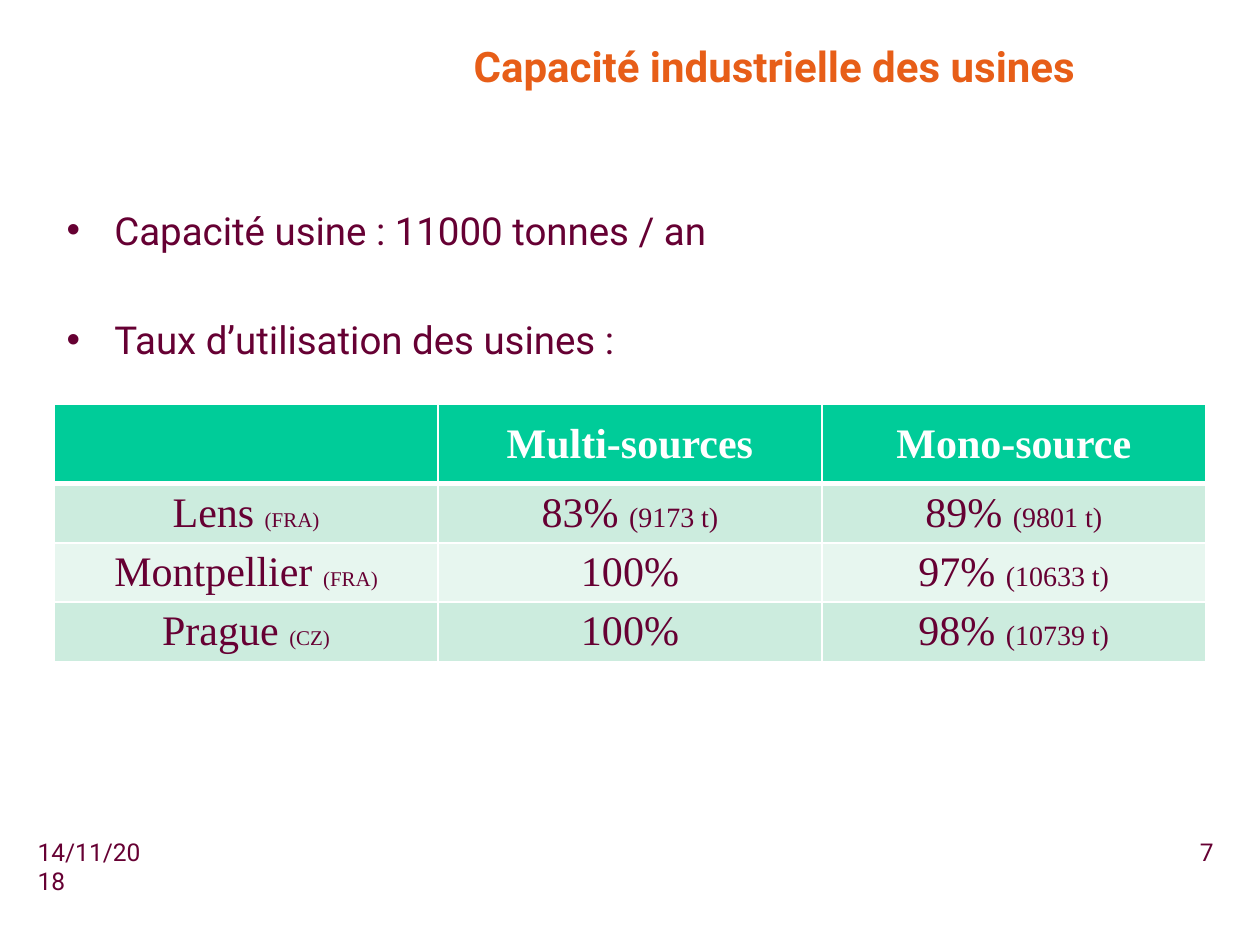
from dataclasses import dataclass

from lxml.etree import SubElement
from pptx import Presentation
from pptx.dml.color import RGBColor
from pptx.enum.text import MSO_ANCHOR as Anchor, PP_ALIGN as Align
from pptx.oxml.ns import qn
from pptx.util import Inches, Pt


@dataclass(frozen=True)
class Theme:
    sans: str = "Roboto"
    serif: str = "Times New Roman"
    orange: str = "E75E18"
    plum: str = "660033"
    white: str = "FFFFFF"
    header: str = "00CC99"
    bands: tuple = ("CCECDE", "E7F6EF")
    title: int = 24
    body: int = 22
    cell: int = 24
    detail: int = 16
    country: int = 12
    footer: int = 14


def add_text(para, text, *, font, size, color, bold=False, align=None):
    """Append a formatted span to a paragraph."""
    span = para.add_run()
    span.text = text
    span.font.name = font
    span.font.size = Pt(size)
    span.font.bold = bold
    span.font.color.rgb = RGBColor.from_string(color)
    if align is not None:
        para.alignment = align


def set_bullet(para, indent):
    props = para._p.get_or_add_pPr()
    props.set("marL", str(indent))
    props.set("indent", str(-indent))
    SubElement(props, qn("a:buFont"), typeface="Arial")
    SubElement(props, qn("a:buChar"), char="•")


def set_borders(cell, color, bottom_width):
    props = cell._tc.get_or_add_tcPr()
    for index, side in enumerate(("lnL", "lnR", "lnT", "lnB")):
        width = bottom_width if side == "lnB" else 1
        line = SubElement(props, qn(f"a:{side}"), w=str(Pt(width)))
        SubElement(SubElement(line, qn("a:solidFill")), qn("a:srgbClr"), val=color)
        # Borders come before the fill in the cell properties
        props.insert(index, line)


class SlideBuilder:
    def __init__(self, deck, theme):
        self.theme = theme
        self.page = deck.slides.add_slide(deck.slide_layouts[5])

    def title(self, text, left, top, width, height):
        box = self.page.shapes.title
        box.left, box.top, box.width, box.height = map(Inches, (left, top, width, height))
        box.text_frame.vertical_anchor = Anchor.MIDDLE
        add_text(box.text_frame.paragraphs[0], text, font=self.theme.sans,
                 size=self.theme.title, color=self.theme.orange, bold=True,
                 align=Align.CENTER)

    def text_box(self, lines, left, top, width, height, *, size,
                 align=Align.LEFT, bullets=False, gap=0):
        box = self.page.shapes.add_textbox(*map(Inches, (left, top, width, height)))
        frame = box.text_frame
        frame.word_wrap = True
        for number, text in enumerate(lines):
            para = frame.add_paragraph() if number else frame.paragraphs[0]
            if number:
                para.space_before = Pt(gap)
            if bullets:
                set_bullet(para, Inches(0.38))
            add_text(para, text, font=self.theme.sans, size=size,
                     color=self.theme.plum, align=align)

    def table(self, rows, left, top, width, heights):
        theme = self.theme
        columns = len(rows[0])
        table = self.page.shapes.add_table(
            len(rows), columns, *map(Inches, (left, top, width, sum(heights)))).table
        for column in table.columns:
            column.width = Inches(width / columns)
        for r, (row, height) in enumerate(zip(rows, heights)):
            table.rows[r].height = Inches(height)
            is_header = r == 0
            fill = theme.header if is_header else theme.bands[(r - 1) % 2]
            for c, spans in enumerate(row):
                cell = table.cell(r, c)
                cell.vertical_anchor = Anchor.MIDDLE
                cell.margin_top = cell.margin_bottom = Inches(0.03)
                cell.fill.solid()
                cell.fill.fore_color.rgb = RGBColor.from_string(fill)
                set_borders(cell, theme.white, 3 if is_header else 1)
                small = theme.detail if c else theme.country
                for text, size in zip(spans, (theme.cell, small)):
                    add_text(cell.text_frame.paragraphs[0], text, font=theme.serif,
                             size=size, bold=is_header, align=Align.CENTER,
                             color=theme.white if is_header else theme.plum)


def main():
    deck = Presentation()
    deck.slide_width, deck.slide_height = Inches(10), Inches(7.5)
    theme = Theme()
    slide = SlideBuilder(deck, theme)

    # Title
    slide.title("Capacité industrielle des usines", 2.72, 0.21, 6.85, 0.63)

    # Utilisation rates: main text of each cell, then its smaller detail
    rates = [
        [(), ("Multi-sources",), ("Mono-source",)],
        [("Lens ", "(FRA)"), ("83% ", "(9173 t)"), ("89% ", "(9801 t)")],
        [("Montpellier ", "(FRA)"), ("100%",), ("97% ", "(10633 t)")],
        [("Prague ", "(CZ)"), ("100%",), ("98% ", "(10739 t)")],
    ]
    slide.table(rates, 0.43, 3.21, 9.14, [0.63, 0.47, 0.47, 0.47])

    # Date and page number
    slide.text_box(["14/11/2018"], 0.2, 6.59, 1.1, 0.31, size=theme.footer)
    slide.text_box(["7"], 8.75, 6.59, 0.98, 0.31, size=theme.footer, align=Align.RIGHT)

    # Key points
    points = ["Capacité usine : 11000 tonnes / an", "Taux d’utilisation des usines :"]
    slide.text_box(points, 0.43, 1.59, 9.14, 1.61, size=theme.body, bullets=True, gap=36)

    deck.save("out.pptx")


if __name__ == "__main__":
    main()
